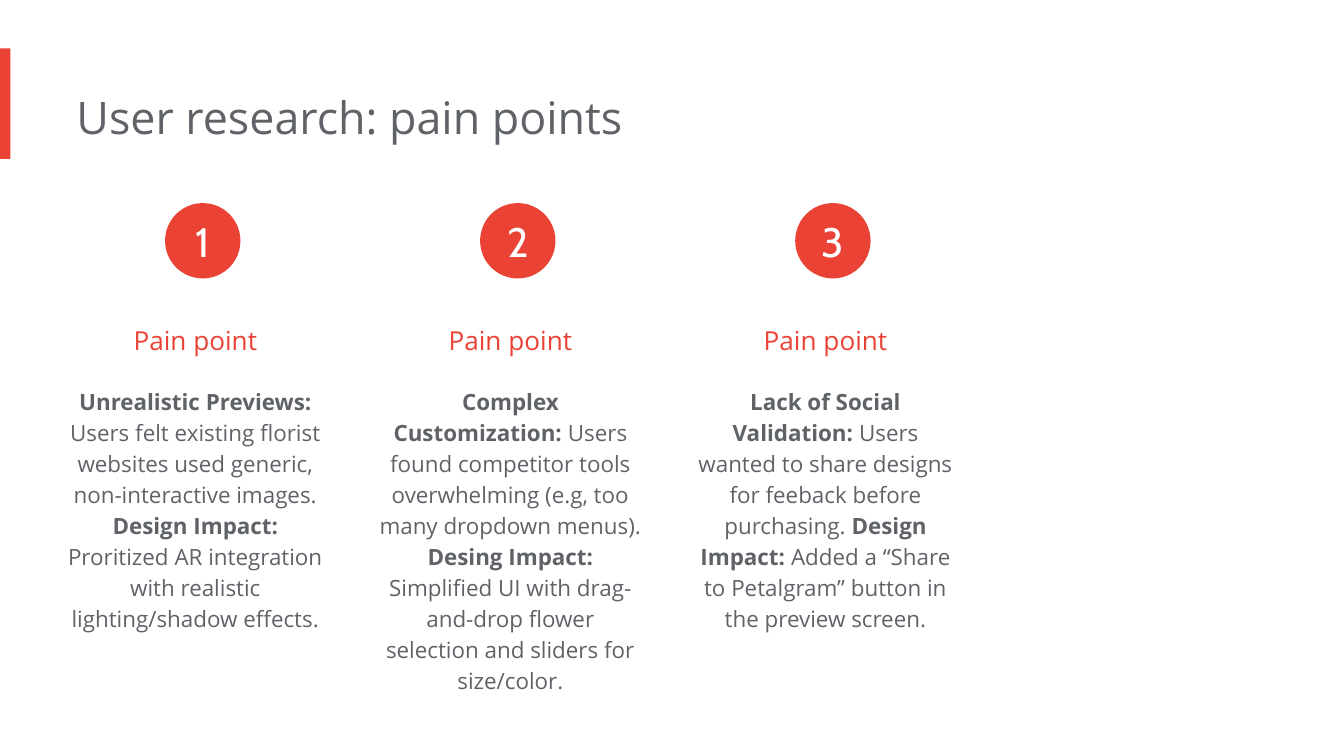
from dataclasses import dataclass

from pptx import Presentation
from pptx.dml.color import RGBColor
from pptx.enum import shapes, text
from pptx.util import Pt


@dataclass(frozen=True)
class Theme:
    accent: RGBColor = RGBColor(0xEA, 0x43, 0x35)
    ink: RGBColor = RGBColor(0x5F, 0x63, 0x68)
    white: RGBColor = RGBColor(0xFF, 0xFF, 0xFF)
    font: str = "Open Sans"
    number_font: str = "Cabin"
    title: int = 24
    number: int = 22
    heading: int = 14
    body: int = 12


THEME = Theme()
CENTER = text.PP_ALIGN.CENTER

# Each pain point: (finding, detail, impact label, impact), lines of body text
PAIN_POINTS = [
    (("Unrealistic Previews: ",
      "Users felt existing florist websites used generic, non-interactive images. ",
      "Design Impact: ",
      "Proritized AR integration with realistic lighting/shadow effects."), 8),
    (("Complex Customization: ",
      "Users found competitor tools overwhelming (e.g, too many dropdown menus). ",
      "Desing Impact: ",
      "Simplified UI with drag-and-drop flower selection and sliders for size/color."), 10),
    (("Lack of Social Validation: ",
      "Users wanted to share designs for feeback before purchasing. ",
      "Design Impact: ",
      "Added a “Share to Petalgram” button in the preview screen."), 8),
]


def style_span(span, size, color, font=THEME.font, bold=False):
    span.font.name = font
    span.font.size = Pt(size)
    span.font.color.rgb = color
    span.font.bold = bold


def add_filled(page, kind, left, top, width, height):
    shape = page.shapes.add_shape(kind, Pt(left), Pt(top), Pt(width), Pt(height))
    shape.shadow.inherit = False
    shape.fill.solid()
    shape.fill.fore_color.rgb = THEME.accent
    shape.line.fill.background()
    return shape


def add_text(page, left, top, width, height, parts, size, color,
             align=None, spacing=None):
    """Place one paragraph of (words, bold) parts."""
    box = page.shapes.add_textbox(Pt(left), Pt(top), Pt(width), Pt(height))
    frame = box.text_frame
    frame.word_wrap = True
    frame.auto_size = text.MSO_AUTO_SIZE.SHAPE_TO_FIT_TEXT
    frame.margin_left = 0
    frame.margin_top = frame.margin_right = frame.margin_bottom = Pt(7.2)
    para = frame.paragraphs[0]
    para.alignment = align
    para.line_spacing = spacing
    for words, bold in parts:
        span = para.add_run()
        span.text = words
        style_span(span, size, color, bold=bold)


def add_header(page, left, top, width, height):
    # Accent bar at the page edge, title beside it
    add_filled(page, shapes.MSO_SHAPE.RECTANGLE, left, top, 5.6, height)
    add_text(page, left + 41, top + 15, width - 41, 44,
             [("User research: pain points", False)], THEME.title, THEME.ink)


def add_pain_point(page, left, top, width, number, parts, lines):
    # Numbered circle
    circle = add_filled(page, shapes.MSO_SHAPE.OVAL, left + 54, top, 40.4, 40.4)
    frame = circle.text_frame
    frame.margin_left = frame.margin_top = 0
    frame.margin_right = frame.margin_bottom = 0
    frame.vertical_anchor = text.MSO_ANCHOR.MIDDLE
    frame.text = str(number)
    para = frame.paragraphs[0]
    para.alignment = CENTER
    style_span(para.runs[0], THEME.number, THEME.white, THEME.number_font)

    # Heading and body, with the labels in bold
    add_text(page, left, top + 49.6, width, 31.7, [("Pain point", False)],
             THEME.heading, THEME.accent, CENTER, 1.5)
    body = [(words, index % 2 == 0) for index, words in enumerate(parts)]
    add_text(page, left, top + 90, width, 16 + 16.5 * lines, body,
             THEME.body, THEME.ink, CENTER, 1.15)


def add_pain_points(page, left, top, width, gap):
    for index, (parts, lines) in enumerate(PAIN_POINTS):
        add_pain_point(page, left + index * (width + gap), top, width,
                       index + 1, parts, lines)


def main():
    deck = Presentation()
    deck.slide_width, deck.slide_height = Pt(720), Pt(405)
    page = deck.slides.add_slide(deck.slide_layouts[6])
    page.background.fill.solid()
    page.background.fill.fore_color.rgb = THEME.white
    add_header(page, 0, 26, 525.6, 59.2)
    add_pain_points(page, 34.4, 108.8, 147.6, 21.2)
    deck.save("out.pptx")


if __name__ == "__main__":
    main()
